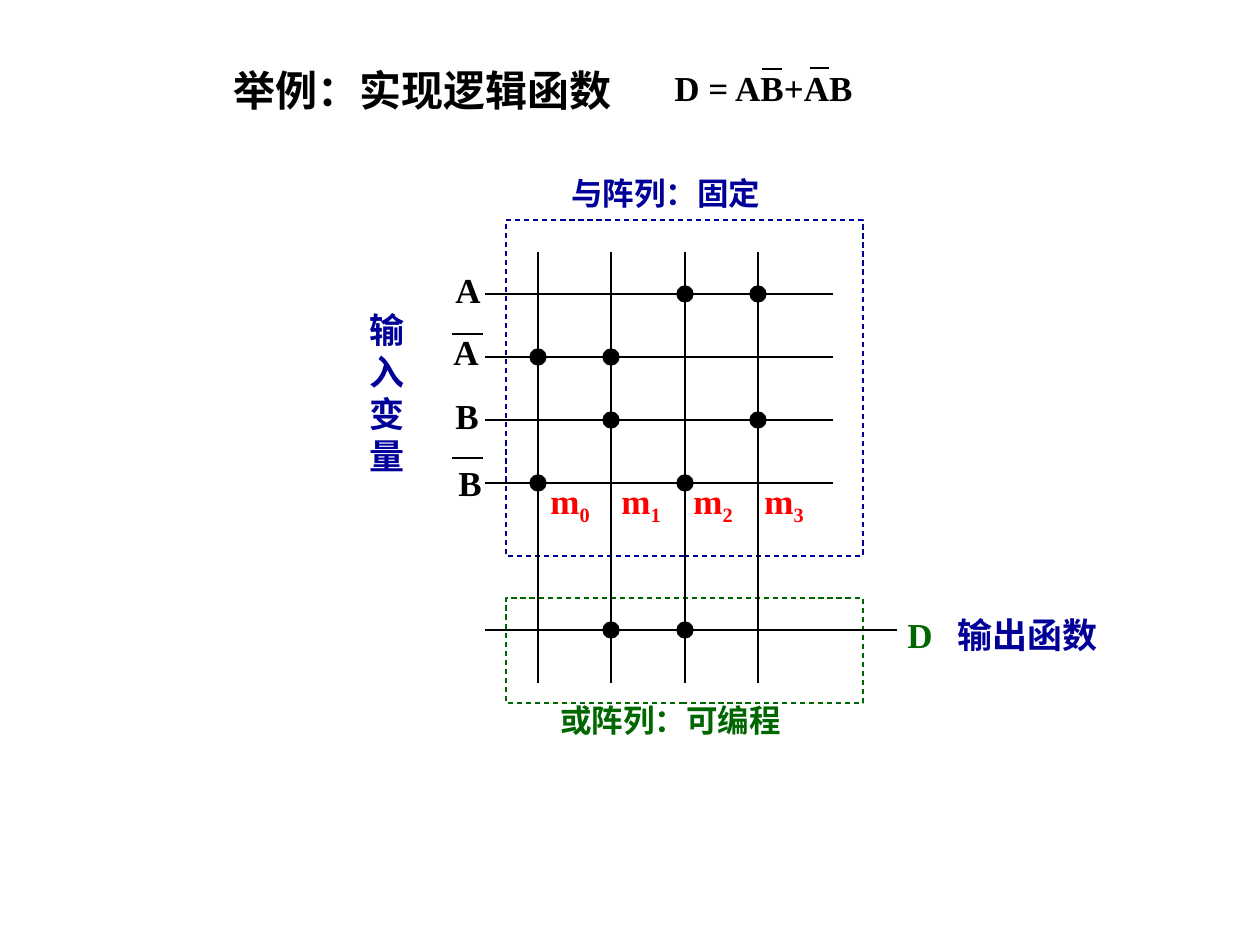
from dataclasses import dataclass
from typing import Any

from lxml.etree import SubElement
from pptx import Presentation
from pptx.dml.color import RGBColor
from pptx.enum.dml import MSO_LINE
from pptx.enum.lang import MSO_LANGUAGE_ID
from pptx.enum.shapes import MSO_CONNECTOR, MSO_SHAPE
from pptx.enum.text import MSO_ANCHOR
from pptx.oxml.ns import qn
from pptx.util import Pt

BLACK, BLUE, GREEN, RED = "000000", "000099", "006600", "FF0000"


def px(length):
    """Turn pixels (126 to the inch) into EMU."""
    return round(length * 914400 / 126)


def color(hex_string):
    return RGBColor.from_string(hex_string)


@dataclass
class Diagram:
    slide: Any
    font_name: str = "Times New Roman"
    line_width: float = 0.75
    dot_size: int = 16

    def text(self, left, top, width, height, text, hex_string=BLACK, size=20,
             subscript="", anchor=MSO_ANCHOR.TOP):
        box = self.slide.shapes.add_textbox(px(left), px(top), px(width), px(height))
        frame = box.text_frame
        frame.word_wrap = True
        frame.vertical_anchor = anchor
        frame.text = text
        paragraph = frame.paragraphs[0]
        if subscript:
            run = paragraph.add_run()
            run.text = subscript
            run._r.get_or_add_rPr().set("baseline", "-25000")
        for run in paragraph.runs:
            run.font.name = self.font_name
            run.font.size = Pt(size)
            run.font.bold = True
            run.font.color.rgb = color(hex_string)
            run.font.language_id = MSO_LANGUAGE_ID.SIMPLIFIED_CHINESE

    def line(self, x1, y1, x2, y2):
        connector = self.slide.shapes.add_connector(
            MSO_CONNECTOR.STRAIGHT, px(x1), px(y1), px(x2), px(y2))
        connector.line.color.rgb = color(BLACK)
        connector.line.width = Pt(self.line_width)
        SubElement(connector._element.spPr, qn("a:effectLst"))

    def shape(self, kind, left, top, width, height, hex_string):
        shape = self.slide.shapes.add_shape(
            kind, px(left), px(top), px(width), px(height))
        shape.shadow.inherit = False
        shape.line.color.rgb = color(hex_string)
        shape.line.width = Pt(self.line_width)
        return shape

    def dashed_frame(self, left, top, width, height, hex_string):
        frame = self.shape(MSO_SHAPE.RECTANGLE, left, top, width, height, hex_string)
        frame.fill.background()
        frame.line.dash_style = MSO_LINE.DASH

    def dot(self, x, y):
        size = self.dot_size
        dot = self.shape(MSO_SHAPE.OVAL, x - size // 2, y - size // 2, size, size, BLACK)
        dot.fill.solid()
        dot.fill.fore_color.rgb = color(BLACK)


def main():
    presentation = Presentation()
    presentation.slide_width, presentation.slide_height = px(1260), px(945)
    diagram = Diagram(presentation.slides.add_slide(presentation.slide_layouts[6]))

    # Title and formula
    diagram.text(221, 42, 546, 95, "举例：实现逻辑函数", size=24, anchor=MSO_ANCHOR.MIDDLE)
    diagram.text(662, 60, 315, 55, "D = AB+AB")
    diagram.line(762, 69, 782, 69)
    diagram.line(810, 68, 829, 68)

    # Array frames and captions
    diagram.text(559, 168, 262, 50, "与阵列：固定", BLUE, 18)
    diagram.dashed_frame(506, 220, 357, 336, BLUE)
    diagram.text(548, 695, 262, 50, "或阵列：可编程", GREEN, 18)
    diagram.dashed_frame(506, 598, 357, 105, GREEN)
    diagram.text(357, 302, 73, 181, "输入变量", BLUE)
    diagram.text(895, 607, 73, 55, "D", GREEN)
    diagram.text(945, 607, 189, 55, "输出函数", BLUE)

    # Grid of input rows, product columns and the output row
    columns = [538 + 147 * index // 2 for index in range(4)]
    rows = [294 + 63 * index for index in range(4)]
    output_row = 630
    for y in rows:
        diagram.line(485, y, 833, y)
    diagram.line(485, output_row, 897, output_row)
    for x in columns:
        diagram.line(x, 252, x, 683)

    # Input names; a bar marks the inverted ones
    for left, top, name in [(443, 262, "A"), (441, 324, "A"), (443, 388, "B"), (446, 455, "B")]:
        diagram.text(left, top, 73, 55, name)
    for y in (334, 458):
        diagram.line(452, y, 483, y)

    for index, x in enumerate(columns):
        diagram.text(x - 2 * index, 473, 73, 60, "m", RED, subscript=str(index))

    # Connected columns of each row
    connections = {rows[0]: (2, 3), rows[1]: (0, 1), rows[2]: (1, 3),
                   rows[3]: (0, 2), output_row: (1, 2)}
    for y, connected in connections.items():
        for index in connected:
            diagram.dot(columns[index], y)

    presentation.save("out.pptx")


if __name__ == "__main__":
    main()
